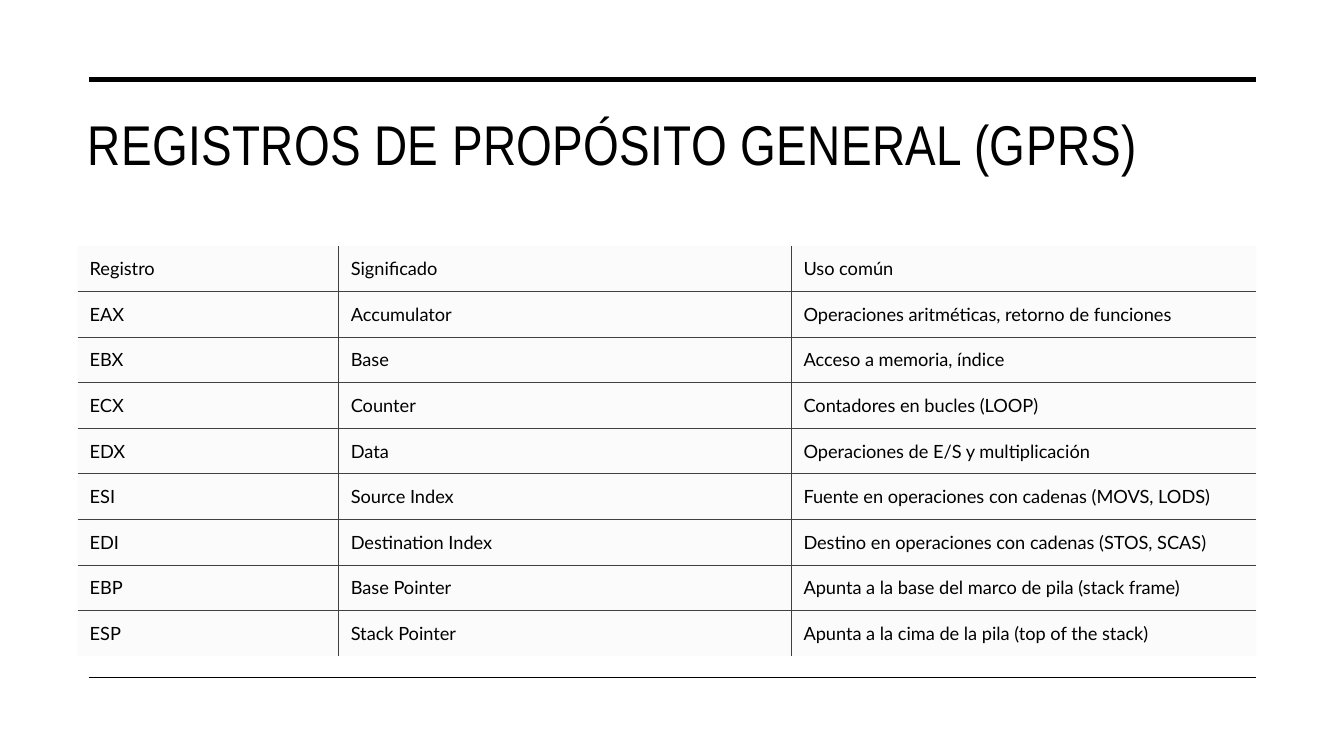
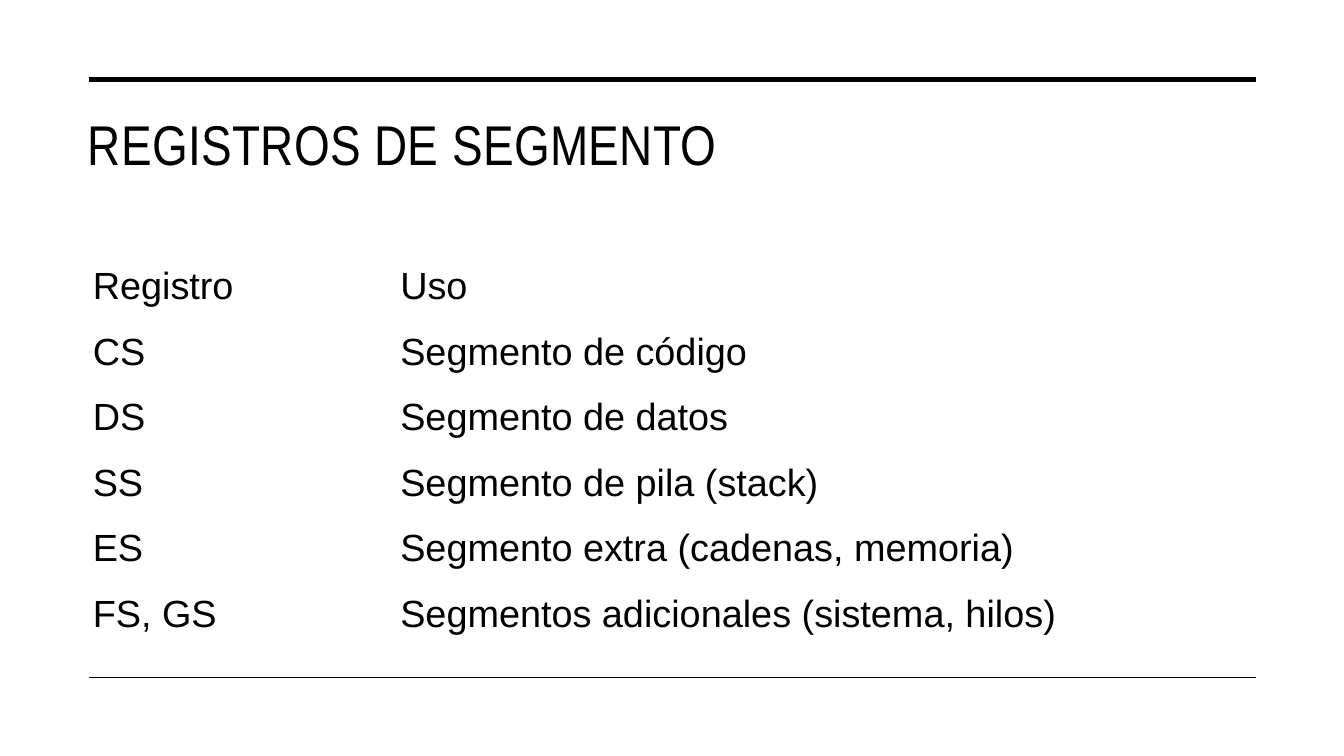
import dataclasses

import pptx
import pptx.dml.color
import pptx.enum.shapes
import pptx.enum.text
import pptx.oxml.ns
import pptx.oxml.xmlchemy
import pptx.util

Inches, Pt = pptx.util.Inches, pptx.util.Pt
qn = pptx.oxml.ns.qn
new_element = pptx.oxml.xmlchemy.OxmlElement
MIDDLE = pptx.enum.text.MSO_ANCHOR.MIDDLE


@dataclasses.dataclass(frozen=True)
class Theme:
    ink: str = "000000"
    grid: str = "404040"
    tint: str = "F2F2F2"
    tint_opacity: int = 30
    grid_width: float = 0.5
    title_font: str = "Arial Narrow"
    title_size: int = 40
    title_tracking: float = 0.3
    slide_size: tuple = (13.33, 7.5)
    left: float = 0.77
    width: float = 11.69
    title_top: float = 0.99
    title_height: float = 1.26
    rule_span: tuple = (0.88, 12.46)
    rules: tuple = ((0.79, 3.5), (6.72, 1))  # height on the page, line weight


THEME = Theme()
NO_STYLE_NO_GRID = "{2D5ABB26-0587-4C30-8999-92F81FD0307C}"

PAGES = [
    {
        "title": "REGISTROS DE PROPÓSITO GENERAL (GPRS)",
        "rows": [
            ("Registro", "Significado", "Uso común"),
            ("EAX", "Accumulator", "Operaciones aritméticas, retorno de funciones"),
            ("EBX", "Base", "Acceso a memoria, índice"),
            ("ECX", "Counter", "Contadores en bucles (LOOP)"),
            ("EDX", "Data", "Operaciones de E/S y multiplicación"),
            ("ESI", "Source Index", "Fuente en operaciones con cadenas (MOVS, LODS)"),
            ("EDI", "Destination Index", "Destino en operaciones con cadenas (STOS, SCAS)"),
            ("EBP", "Base Pointer", "Apunta a la base del marco de pila (stack frame)"),
            ("ESP", "Stack Pointer", "Apunta a la cima de la pila (top of the stack)"),
        ],
        "columns": (2.59, 4.49, 4.61),
        "top": 2.44, "height": 4.07,
        "font": "Lato", "size": 13,
        "margins": (0.12, 0.1, 0.07, 0.1),
        "ruled": True,
    },
    {
        "title": "REGISTROS DE SEGMENTO",
        "rows": [
            ("Registro", "Uso"),
            ("CS", "Segmento de código"),
            ("DS", "Segmento de datos"),
            ("SS", "Segmento de pila (stack)"),
            ("ES", "Segmento extra (cadenas, memoria)"),
            ("FS, GS", "Segmentos adicionales (sistema, hilos)"),
        ],
        "columns": (3.05, 8.64),
        "top": 2.52, "height": 3.9,
        "font": "Arial", "size": 27,
        "margins": (0.15, 0.07, 0.15, 0.07),
        "ruled": False,
    },
]


def rgb(value):
    return pptx.dml.color.RGBColor.from_string(value)


def style_font(font, name, size):
    font.name, font.size = name, Pt(size)
    font.color.rgb = rgb(THEME.ink)


def set_margins(target, margins):
    (target.margin_left, target.margin_top,
     target.margin_right, target.margin_bottom) = map(Inches, margins)


def add_title(page, text):
    title = page.shapes.title
    title.left, title.top = Inches(THEME.left), Inches(THEME.title_top)
    title.width, title.height = Inches(THEME.width), Inches(THEME.title_height)
    frame = title.text_frame
    frame.text = text
    frame.word_wrap = True
    frame.auto_size = pptx.enum.text.MSO_AUTO_SIZE.NONE
    frame.vertical_anchor = pptx.enum.text.MSO_ANCHOR.TOP
    set_margins(frame, (0.1, 0.1, 0.1, 0.05))
    para = frame.paragraphs[0]
    para.alignment = pptx.enum.text.PP_ALIGN.LEFT
    style_font(para.font, THEME.title_font, THEME.title_size)
    tracking = str(round(THEME.title_tracking * 100))
    para.runs[0]._r.get_or_add_rPr().set("spc", tracking)


def add_rules(page):
    start, end = map(Inches, THEME.rule_span)
    for height, weight in THEME.rules:
        y = Inches(height)
        rule = page.shapes.add_connector(
            pptx.enum.shapes.MSO_CONNECTOR.STRAIGHT, start, y, end, y)
        rule.line.color.rgb = rgb(THEME.ink)
        rule.line.width = Pt(weight)
        rule._element.spPr.append(new_element("a:effectLst"))


def add_borders(cell, sides):
    properties = cell._tc.get_or_add_tcPr()
    for side in sides:
        line = new_element(f"a:ln{side}")
        line.set("w", str(Pt(THEME.grid_width)))
        fill = new_element("a:solidFill")
        color = new_element("a:srgbClr")
        color.set("val", THEME.grid)
        fill.append(color)
        line.append(fill)
        properties.append(line)


def tint_cell(cell):
    cell.fill.solid()
    cell.fill.fore_color.rgb = rgb(THEME.tint)
    alpha = new_element("a:alpha")
    alpha.set("val", str(THEME.tint_opacity * 1000))
    cell._tc.tcPr.find(qn("a:solidFill"))[0].append(alpha)


def inner_sides(row, column, row_count, column_count):
    """Sides of a cell that touch another cell, in the order the schema needs."""
    touching = {"L": column > 0, "R": column < column_count - 1,
                "T": row > 0, "B": row < row_count - 1}
    return [side for side, inner in touching.items() if inner]


def add_register_table(page, content):
    rows, columns = content["rows"], content["columns"]
    shape = page.shapes.add_table(
        len(rows), len(columns), Inches(THEME.left), Inches(content["top"]),
        Inches(THEME.width), Inches(content["height"]))
    shape._element.find(".//" + qn("a:tableStyleId")).text = NO_STYLE_NO_GRID
    table = shape.table
    table.first_row = table.horz_banding = False
    for column, width in zip(table.columns, columns):
        column.width = Inches(width)
    for r, texts in enumerate(rows):
        table.rows[r].height = Inches(content["height"] / len(rows))
        for c, text in enumerate(texts):
            cell = table.cell(r, c)
            cell.text = text
            cell.vertical_anchor = MIDDLE
            set_margins(cell, content["margins"])
            style_font(cell.text_frame.paragraphs[0].font,
                       content["font"], content["size"])
            if content["ruled"]:
                add_borders(cell, inner_sides(r, c, len(rows), len(columns)))
                tint_cell(cell)
            else:
                cell.fill.background()


def main():
    deck = pptx.Presentation()
    deck.slide_width, deck.slide_height = map(Inches, THEME.slide_size)
    title_only = deck.slide_layouts.get_by_name("Title Only")
    for content in PAGES:
        page = deck.slides.add_slide(title_only)
        add_title(page, content["title"])
        add_rules(page)
        add_register_table(page, content)
    deck.save("out.pptx")


if __name__ == "__main__":
    main()
